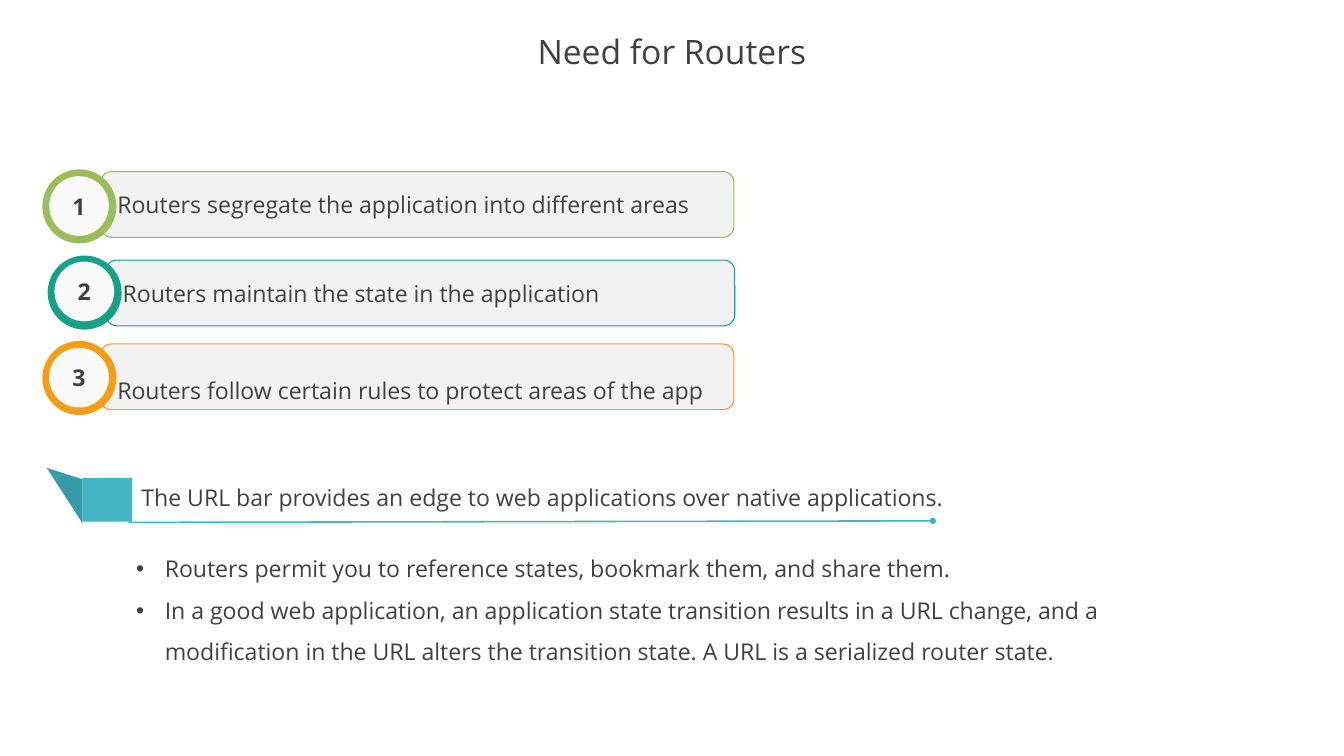
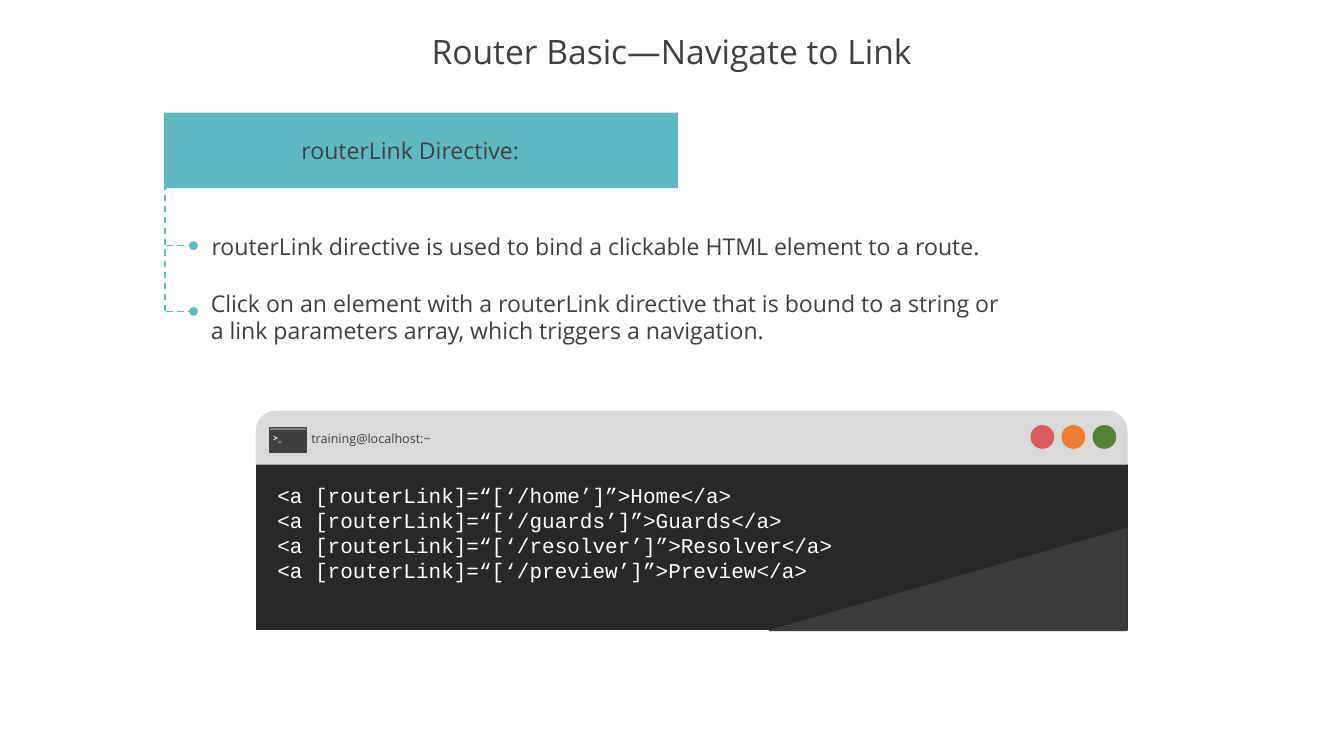
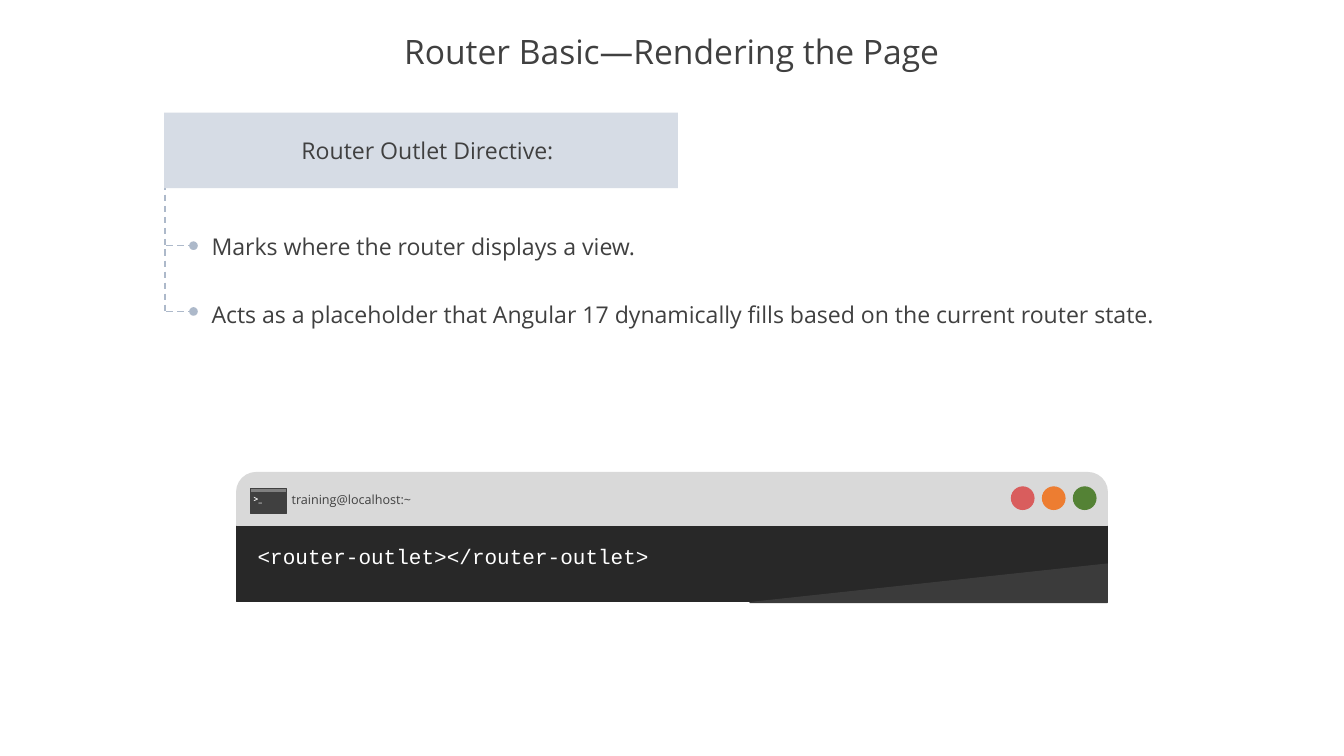
from lxml import etree
from pptx import Presentation
from pptx.dml.color import RGBColor
from pptx.enum import dml, shapes, text
from pptx.oxml.ns import qn
from pptx.util import Inches, Pt

COLOURS = {
    "ink": "404040", "white": "FFFFFF", "card": "F2F2F2", "badge": "FAFAFA",
    "green": "9BBC57", "emerald": "15A185", "orange": "F49D15",
    "ribbon": "44B3C2", "fold": "369AA8",
    "teal": "5EB9C2", "mist": "D6DCE5", "steel": "ADB9CA",
    "screen": "282828", "glare": "3B3B3B", "bar": "D9D9D9", "strip": "808080",
    "close": "D95D5D", "minimise": "ED7D31", "maximise": "548235",
}
SANS, MONO = "Open Sans", "Courier New"
SHAPE = shapes.MSO_SHAPE
CENTER = text.PP_ALIGN.CENTER
MIDDLE = text.MSO_ANCHOR.MIDDLE

# Content
NEEDS = {
    "title": "Need for Routers",
    # wording, colour, card left, card top, card width, line spacing, space before
    "cards": [
        ("Routers segregate the application into different areas", "green", 1.33, 2.27, 8.38, 1, 0),
        ("Routers maintain the state in the application", "emerald", 1.4, 3.44, 8.32, 1, 0),
        ("Routers follow certain rules to protect areas of the app", "orange", 1.33, 4.55, 8.38, 2, 3.1),
    ],
    "ribbon": "The URL bar provides an edge to web applications over native applications. ",
    "points": [
        ("Routers permit you to reference states, bookmark them, and share them.", 2),
        ("In a good web application, an application state transition results in a URL change, "
         "and a modification in the URL alters the transition state. "
         "A URL is a serialized router state.", 1.5),
    ],
}
DIRECTIVES = [
    {
        "title": "Router Basic—Navigate to Link",
        "heading": "routerLink Directive:", "heading_width": 3.2,
        "band": "teal", "branch": "teal",
        # wording, box, line spacing, right inset
        "points": [
            ("routerLink directive is used to bind a clickable HTML element to a route.",
             (2.7, 3.02, 11.51, 0.47), 1, 0.1),
            ("Click on an element with a routerLink directive that is bound to a string or "
             "a link parameters array, which triggers a navigation.",
             (2.69, 3.77, 11.21, 0.84), 1, 0.5),
        ],
        "code": [
            "<a [routerLink]=“[‘/home’]”>Home</a>",
            "<a [routerLink]=“[‘/guards’]”>Guards</a>",
            "<a [routerLink]=“[‘/resolver’]”>Resolver</a>",
            "<a [routerLink]=“[‘/preview’]”>Preview</a>",
        ],
        "terminal": {"left": 3.39, "top": 5.44, "screen": 2.19, "glare": 1.35, "code_height": 2.12},
    },
    {
        "title": "Router Basic—Rendering the Page",
        "heading": "Router Outlet Directive:", "heading_width": 3.66,
        "band": "mist", "branch": "steel",
        "points": [
            ("Marks where the router displays a view.", (2.7, 3.02, 13.33, 0.47), 1, 0.1),
            ("Acts as a placeholder that Angular 17 dynamically fills based on the current router state.",
             (2.7, 3.77, 13.63, 0.6), 1.5, 0.1),
        ],
        "code": ["<router-outlet></router-outlet>"],
        "terminal": {"left": 3.13, "top": 6.25, "screen": 1.01, "glare": 0.51, "code_height": 0.44},
    },
]


def colour(name):
    return RGBColor.from_string(COLOURS[name])


def inches(*values):
    return [Inches(round(value, 2)) for value in values]


def write(frame, lines, size=22, font=SANS, ink="ink", bold=False, align=None,
          spacing=None, before=None):
    """Fill a text frame with one paragraph per line and format its runs."""
    frame.text = "\n".join(lines)
    for paragraph in frame.paragraphs:
        paragraph.alignment = align
        paragraph.line_spacing = spacing
        if before is not None:
            paragraph.space_before = Pt(before)
        for run in paragraph.runs:
            run.font.size, run.font.name, run.font.bold = Pt(size), font, bold
            run.font.color.rgb = colour(ink)


def paint(shape, fill, line=None):
    shape.shadow.inherit = False
    shape.fill.solid()
    shape.fill.fore_color.rgb = colour(fill)
    if line:
        shape.line.color.rgb = colour(line)
        shape.line.width = Pt(1)
    else:
        shape.line.fill.background()
    return shape


def add_block(slide, kind, box, fill, line=None):
    return paint(slide.shapes.add_shape(kind, *inches(*box)), fill, line)


def add_outline(slide, points, fill, line=None):
    start, *rest = [tuple(inches(*point)) for point in points]
    builder = slide.shapes.build_freeform(*start, scale=1.0)
    builder.add_line_segments(rest, close=True)
    return paint(builder.convert_to_shape(), fill, line)


def add_label(slide, lines, box, wrap=False, anchor=None, **style):
    frame = slide.shapes.add_textbox(*inches(*box)).text_frame
    frame.word_wrap = wrap
    frame.auto_size = text.MSO_AUTO_SIZE.SHAPE_TO_FIT_TEXT
    if anchor is not None:
        frame.vertical_anchor = anchor
    write(frame, lines, **style)
    return frame


def add_line(slide, start, end, ink, dashed=False, dot=False):
    connector = slide.shapes.add_connector(
        shapes.MSO_CONNECTOR.STRAIGHT, *inches(*start, *end))
    connector.line.color.rgb = colour(ink)
    connector.line.width = Pt(1.5)
    if dashed:
        connector.line.dash_style = dml.MSO_LINE.DASH
    properties = connector._element.spPr
    if dot:
        etree.SubElement(properties.find(qn("a:ln")), qn("a:tailEnd"), type="oval")
    etree.SubElement(properties, qn("a:effectLst"))


def place(placeholder, box):
    placeholder.left, placeholder.top, placeholder.width, placeholder.height = inches(*box)
    return placeholder.text_frame


def add_titled_slide(deck, layout, title):
    slide = deck.slides.add_slide(deck.slide_layouts[layout])
    frame = place(slide.shapes.title, (0, 0.35, 17.78, 0.73))
    frame.vertical_anchor = MIDDLE
    write(frame, [title], size=32, align=CENTER, spacing=0.9)
    return slide


def add_card(slide, number, wording, accent, left, top, width, spacing, before):
    card = add_block(slide, SHAPE.ROUNDED_RECTANGLE, (left, top, width, 0.87), "card", accent)
    card.text_frame.margin_left = Inches(0.18)
    card.text_frame.vertical_anchor = MIDDLE
    write(card.text_frame, [wording], align=text.PP_ALIGN.LEFT, spacing=spacing, before=before)
    # Numbered badge: ring and disc share a centre
    ring_left, ring_top = left - 0.77, 2.24 + (number - 1) * 1.135
    add_block(slide, SHAPE.OVAL, (ring_left, ring_top, 0.98, 0.98), accent)
    disc = add_block(slide, SHAPE.OVAL, (ring_left + 0.09, ring_top + 0.09, 0.79, 0.79), "badge")
    disc.text_frame.vertical_anchor = MIDDLE
    write(disc.text_frame, [str(number)], bold=True, align=CENTER)


def build_needs(deck):
    slide = add_titled_slide(deck, 1, NEEDS["title"])
    for number, card in enumerate(NEEDS["cards"], 1):
        add_card(slide, number, *card)

    # Bulleted list
    frame = place(slide.placeholders[1], (1.7, 6.92, 13.99, 1.95))
    write(frame, [wording for wording, _ in NEEDS["points"]], before=0)
    for paragraph, (_, spacing) in zip(frame.paragraphs, NEEDS["points"]):
        paragraph.line_spacing = spacing
        indent = paragraph._p.get_or_add_pPr()
        indent.set("marL", str(Inches(0.38)))
        indent.set("indent", str(-Inches(0.38)))

    # Folded ribbon with its underlined statement
    add_label(slide, [NEEDS["ribbon"]], (1.7, 6.35, 11.03, 0.47), align=CENTER)
    add_block(slide, SHAPE.RECTANGLE, (1.09, 6.32, 0.66, 0.58), "ribbon")
    add_outline(slide, [(1.09, 6.92), (0.62, 6.19), (1.09, 6.34)], "fold")
    add_line(slide, (1.7, 6.91), (12.34, 6.89), "ribbon", dot=True)


def add_terminal(slide, code, left, top, screen, glare, code_height):
    width, bar = 11.52, 0.7
    right, bottom = left + width, top + bar + screen + 0.01
    add_block(slide, SHAPE.RECTANGLE, (left, top + bar, width, screen), "screen", "screen")
    add_outline(slide, [(right, bottom - glare), (right, bottom), (right - 4.73, bottom)],
                "glare", "glare")
    title_bar = add_block(slide, SHAPE.ROUND_2_SAME_RECTANGLE, (left, top, width, bar), "bar", "bar")
    title_bar.adjustments[0] = 0.368
    for index, button in enumerate(("close", "minimise", "maximise")):
        add_block(slide, SHAPE.OVAL, (left + 10.25 + index * 0.41, top + 0.19, 0.3, 0.3),
                  button, button)
    add_label(slide, ["training@localhost:~"], (left + 0.63, top + 0.21, 1.8, 0.3), size=12)
    # Small console icon
    add_block(slide, SHAPE.RECTANGLE, (left + 0.18, top + 0.27, 0.48, 0.27), "ink", "ink")
    add_block(slide, SHAPE.RECTANGLE, (left + 0.18, top + 0.21, 0.48, 0.05), "strip", "ink")
    add_label(slide, [" >_"], (left + 0.1, top + 0.24, 0.34, 0.24), size=8, ink="white", bold=True)
    add_label(slide, code, (left + 0.18, top + 0.89, 10.89, code_height), wrap=True,
              size=20, font=MONO, ink="white")


def build_directive(deck, content):
    slide = add_titled_slide(deck, 5, content["title"])
    # Dashed branches, one per point, hanging below the band
    branch = content["branch"]
    for index, (wording, box, spacing, inset) in enumerate(content["points"]):
        level = 3.25 + index * 0.87
        add_line(slide, (2.18, level - 0.82), (2.18, level), branch, dashed=True)
        add_line(slide, (2.2, level), (2.51, level), branch, dashed=True)
        add_block(slide, SHAPE.OVAL, (2.51, level - 0.05, 0.1, 0.1), branch, branch)
        point = add_label(slide, [wording], box, wrap=True, anchor=MIDDLE, spacing=spacing)
        point.margin_right = Inches(inset)
    add_block(slide, SHAPE.RECTANGLE, (2.17, 1.49, 6.8, 1), content["band"])
    add_label(slide, [content["heading"]], (3.89, 1.76, content["heading_width"], 0.47))
    add_terminal(slide, content["code"], **content["terminal"])


def main():
    deck = Presentation()
    deck.slide_width, deck.slide_height = inches(17.78, 10)
    build_needs(deck)
    for content in DIRECTIVES:
        build_directive(deck, content)
    deck.save("out.pptx")


if __name__ == "__main__":
    main()
